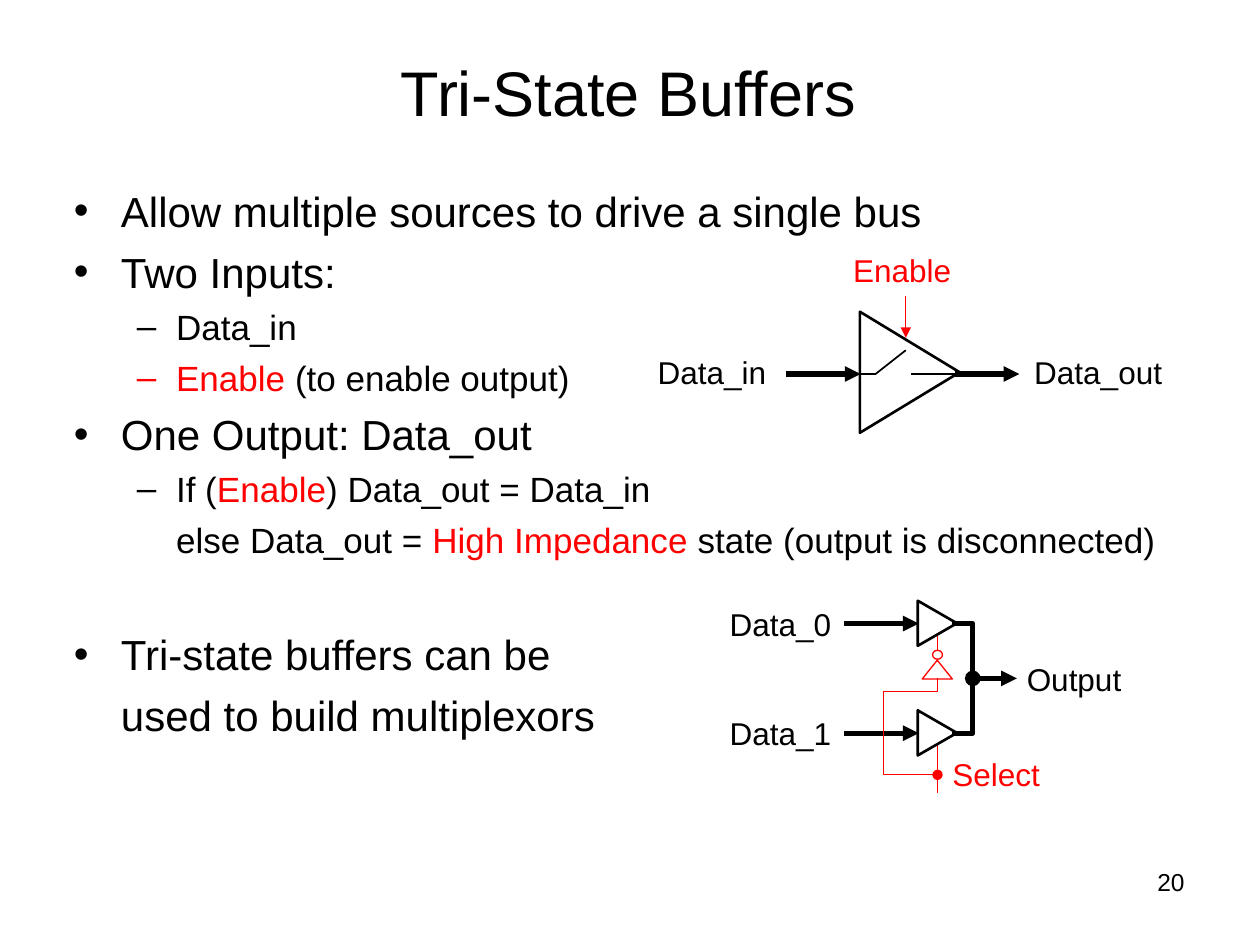
from pptx import Presentation
from pptx.dml.color import RGBColor
from pptx.enum.shapes import MSO_CONNECTOR, MSO_SHAPE
from pptx.enum.text import MSO_ANCHOR, PP_ALIGN
from pptx.oxml.ns import qn
from pptx.util import Cm, Pt
from lxml.etree import SubElement

BLACK = RGBColor(0, 0, 0)
RED = RGBColor(255, 0, 0)
WHITE = RGBColor(255, 255, 255)

# Per outline level: text size, left margin, hanging indent, space before
LEVELS = [
    {"size": 24, "margin": 0.95, "hang": 0.95, "before": 6},
    {"size": 20, "margin": 2.06, "hang": 0.79, "before": 5},
]

# Level, bullet, spans of text and colour, own space before
OUTLINE = [
    (0, "•", [("Allow multiple sources to drive a single bus", BLACK)], 2),
    (0, "•", [("Two Inputs:", BLACK)], None),
    (1, "–", [("Data_in", BLACK)], None),
    (1, "–", [("Enable ", RED), ("(to enable output)", BLACK)], None),
    (0, "•", [("One Output: Data_out", BLACK)], None),
    (1, "–", [("If (", BLACK), ("Enable", RED),
              (") Data_out = Data_in", BLACK)], None),
    (1, None, [("else Data_out = ", BLACK), ("High Impedance ", RED),
               ("state (output is disconnected)", BLACK)], None),
    (0, "•", [("Tri-state buffers can be", BLACK)], 39),
    (0, None, [("used to build multiplexors", BLACK)], None),
]


class SlideBuilder:
    font = "Arial"
    label_size = 18

    def __init__(self, slide):
        self.shapes = slide.shapes

    def frame(self, area, anchor=MSO_ANCHOR.TOP, inset=None):
        frame = self.shapes.add_textbox(*map(Cm, area)).text_frame
        values = {"word_wrap": True, "vertical_anchor": anchor}
        if inset is not None:
            for side in ("left", "top", "right", "bottom"):
                values[f"margin_{side}"] = Cm(inset)
        for name, value in values.items():
            setattr(frame, name, value)
        return frame

    def span(self, para, text, size, color):
        span = para.add_run()
        span.text = text
        for name, value in {"name": self.font, "size": Pt(size)}.items():
            setattr(span.font, name, value)
        span.font.color.rgb = color

    def text(self, text, area, size, align, anchor=MSO_ANCHOR.TOP,
             color=BLACK, inset=None):
        para = self.frame(area, anchor, inset).paragraphs[0]
        para.alignment = align
        self.span(para, text, size, color)

    def label(self, text, area, color=BLACK, align=PP_ALIGN.LEFT):
        self.text(text, area, self.label_size, align, MSO_ANCHOR.MIDDLE,
                  color, inset=0)

    def outline(self, items, area):
        frame = self.frame(area)
        for index, (level, bullet, spans, before) in enumerate(items):
            style = LEVELS[level]
            para = frame.add_paragraph() if index else frame.paragraphs[0]
            para.level = level
            para.space_before = Pt(before or style["before"])
            properties = para._p.get_or_add_pPr()
            properties.set("marL", str(Cm(style["margin"])))
            properties.set("indent", str(Cm(-style["hang"] if bullet else 0)))
            if bullet:
                SubElement(properties, qn("a:buFont"), typeface=self.font)
                SubElement(properties, qn("a:buChar"), char=bullet)
            else:
                SubElement(properties, qn("a:buNone"))
            for text, color in spans:
                self.span(para, text, style["size"], color)

    def stroke(self, shape, color, width, head=None, tail=None):
        """Style a line; head ends its start and tail its finish."""
        shape.line.color.rgb = color
        shape.line.width = Pt(width)
        for tag, kind in (("a:headEnd", head), ("a:tailEnd", tail)):
            if kind:
                SubElement(shape.line._get_or_add_ln(), qn(tag), type=kind)

    def line(self, start, end, color=BLACK, width=1, head=None, tail=None):
        line = self.shapes.add_connector(
            MSO_CONNECTOR.STRAIGHT, *map(Cm, (*start, *end)))
        self.stroke(line, color, width, head, tail)
        SubElement(line._element.spPr, qn("a:effectLst"))

    def wire(self, points, color, width, tail=None):
        """Draw an open path with corners."""
        first, *rest = [tuple(map(Cm, point)) for point in points]
        builder = self.shapes.build_freeform(*first)
        builder.add_line_segments(rest, close=False)
        wire = builder.convert_to_shape()
        wire.shadow.inherit = False
        wire.fill.background()
        self.stroke(wire, color, width, tail=tail)

    def shape(self, kind, area, color=BLACK, width=1.5, rotation=0):
        shape = self.shapes.add_shape(kind, *map(Cm, area))
        shape.shadow.inherit = False
        shape.rotation = rotation
        shape.fill.solid()
        shape.fill.fore_color.rgb = WHITE
        self.stroke(shape, color, width)


def draw_buffer(page):
    axis = 7.54
    page.shape(MSO_SHAPE.ISOSCELES_TRIANGLE, (17.12, 6.5, 2.44, 2.01),
               rotation=90)
    for start, end in ((15.85, 17.35), (19.25, 20.55)):
        page.line((start, axis), (end, axis), width=3, tail="triangle")
    page.line((17.35, axis), (17.65, axis))
    page.line((17.65, axis), (18.26, 7.06))
    page.line((18.36, axis), (19.35, axis))
    page.line((18.26, 5.97), (18.26, 6.81), RED, 0.75, tail="triangle")
    page.label("Data_in", (13.26, 6.99, 2.69, 1.02))
    page.label("Data_out", (20.85, 6.99, 2.69, 1.02))
    page.label("Enable", (16.84, 5.03, 2.69, 0.84), RED, PP_ALIGN.CENTER)


def draw_multiplexor(page):
    branches = (12.57, 14.78)
    middle = sum(branches) / 2
    select, bus = 18.9, 19.61
    for top, bottom in ((12.75, 13.11), (14.96, 15.98)):
        page.line((select, top), (select, bottom), RED, 0.75)
    for index, axis in enumerate(branches):
        page.line((17.02, axis), (18.52, axis), width=3, tail="triangle")
        page.shape(MSO_SHAPE.ISOSCELES_TRIANGLE,
                   (18.44, axis - 0.4, 0.91, 0.79), rotation=90)
        page.label(f"Data_{index}", (14.71, axis - 0.45, 2.31, 0.91))
    page.shape(MSO_SHAPE.ISOSCELES_TRIANGLE, (18.59, 13.31, 0.61, 0.38),
               RED, 0.75)
    page.shape(MSO_SHAPE.OVAL, (18.8, 13.11, 0.2, 0.18), RED, 0.75)
    page.wire([(select, middle), (select, 13.94), (17.81, 13.94),
               (17.81, 15.62), (select, 15.62)], RED, 0.75, tail="oval")
    page.wire([(19.2, branches[0]), (bus, branches[0]),
               (bus, branches[1]), (19.2, branches[1])], BLACK, 3)
    page.line((bus, middle), (20.5, middle), width=3,
              head="oval", tail="triangle")
    page.label("Output", (20.7, middle - 0.45, 2.31, 0.91))
    page.label("Select", (19.2, 15.14, 2.31, 0.91), RED)


def main():
    deck = Presentation()
    deck.slide_width, deck.slide_height = Cm(25.4), Cm(19.05)
    page = SlideBuilder(deck.slides.add_slide(deck.slide_layouts[6]))
    page.outline(OUTLINE, (1.24, 3.61, 22.86, 13.18))
    page.text("Tri-State Buffers", (1.24, 0.25, 22.86, 3.18), 36,
              PP_ALIGN.CENTER, MSO_ANCHOR.MIDDLE)
    draw_buffer(page)
    draw_multiplexor(page)
    page.text("20", (18.21, 17.35, 5.92, 1.32), 14, PP_ALIGN.RIGHT)
    deck.save("out.pptx")


if __name__ == "__main__":
    main()
